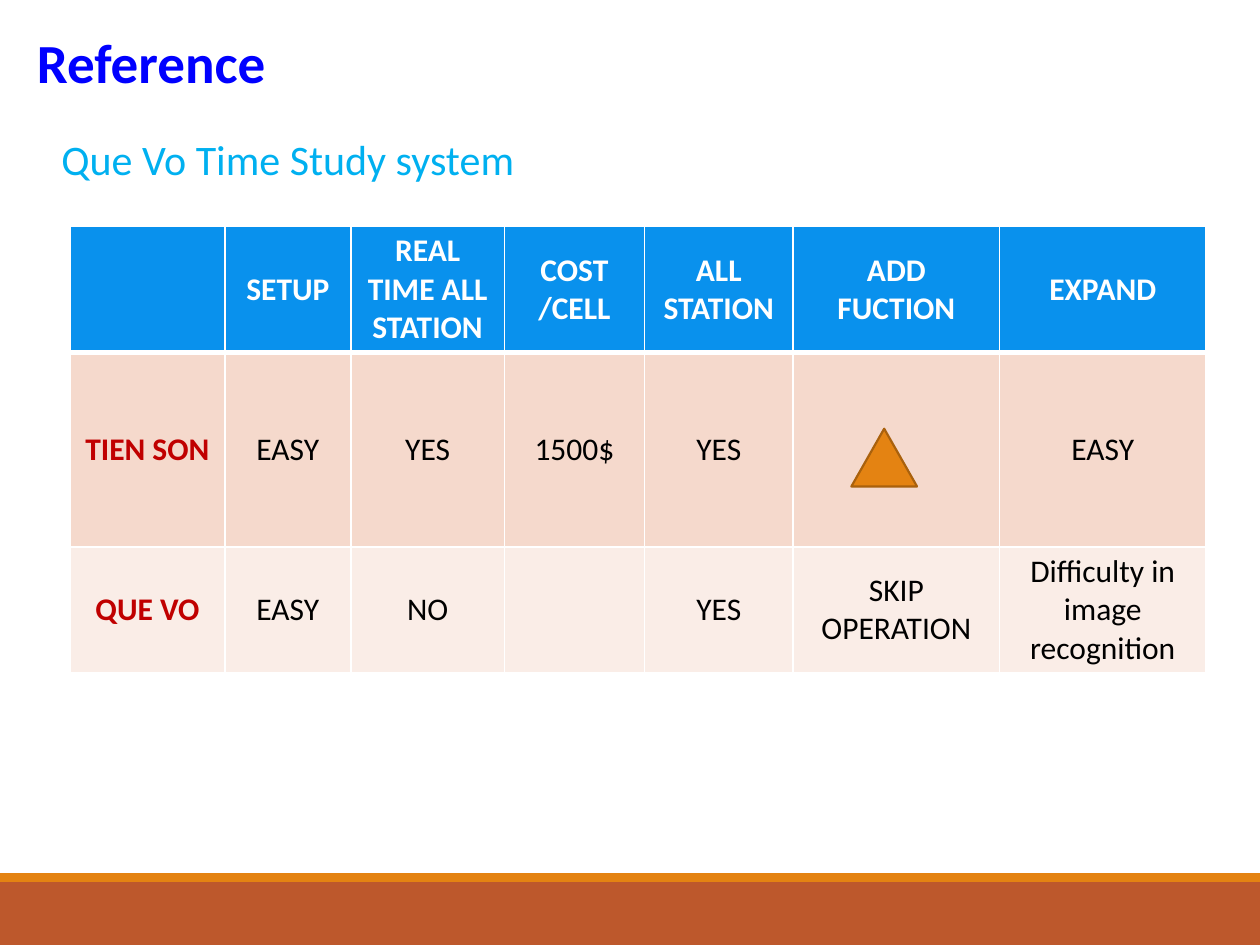
import pptx
import pptx.dml.color
import pptx.enum.shapes
import pptx.enum.text
import pptx.oxml
import pptx.oxml.ns
import pptx.util

Pt = pptx.util.Pt
SHAPES = pptx.enum.shapes.MSO_SHAPE
HEADERS = ["", "SETUP", "REAL TIME ALL STATION", "COST\n/CELL", "ALL STATION", "ADD FUCTION", "EXPAND"]
SYSTEMS = [
    ["TIEN SON", "EASY", "YES", "1500$", "YES", "", "EASY"],
    ["QUE VO", "EASY", "NO", "", "YES", "SKIP OPERATION", "Difficulty in image recognition"],
]
COLUMN_WIDTHS = [88.5, 72, 87.75, 80, 85, 118, 118]
ROW_HEIGHTS = [72, 111, 72]
ROW_FILLS = ["0991ED", "F5D9CC", "FAEDE7"]


def color(value):
    return pptx.dml.color.RGBColor.from_string(value)


class ComparisonSlide:
    """Draws the elements of the comparison slide in one shared style."""

    font_name = "Calibri"
    table_size = 18
    border_color = "FFFFFF"

    def __init__(self, presentation):
        self.slide = presentation.slides.add_slide(presentation.slide_layouts[6])

    def add_run(self, paragraph, text, size, text_color, bold=False):
        run = paragraph.add_run()
        run.text = text
        run.font.name = self.font_name
        run.font.size = Pt(size)
        run.font.bold = bold
        run.font.color.rgb = color(text_color)

    def add_text(self, left, top, width, height, text, size, text_color, bold=False):
        box = self.slide.shapes.add_textbox(Pt(left), Pt(top), Pt(width), Pt(height))
        box.text_frame.word_wrap = True
        box.text_frame.auto_size = pptx.enum.text.MSO_AUTO_SIZE.SHAPE_TO_FIT_TEXT
        self.add_run(box.text_frame.paragraphs[0], text, size, text_color, bold)

    def add_shape(self, kind, left, top, width, height, fill, line=None):
        shape = self.slide.shapes.add_shape(kind, Pt(left), Pt(top), Pt(width), Pt(height))
        shape.shadow.inherit = False
        shape.fill.solid()
        shape.fill.fore_color.rgb = color(fill)
        if line:
            shape.line.color.rgb = color(line)
            shape.line.width = Pt(1.25)
        else:
            shape.line.fill.background()

    def add_borders(self, cell, widths):
        properties = cell._tc.get_or_add_tcPr()
        for side, width in widths.items():
            properties.append(pptx.oxml.parse_xml(
                f'<a:ln{side} {pptx.oxml.ns.nsdecls("a")} w="{Pt(width)}"><a:solidFill>'
                f'<a:srgbClr val="{self.border_color}"/></a:solidFill></a:ln{side}>'))

    def fill_cell(self, cell, text, fill, text_color, bold, widths):
        self.add_borders(cell, widths)
        cell.fill.solid()
        cell.fill.fore_color.rgb = color(fill)
        cell.vertical_anchor = pptx.enum.text.MSO_ANCHOR.MIDDLE
        cell.margin_top = cell.margin_bottom = Pt(3)
        if not text:
            return
        frame = cell.text_frame
        for index, line in enumerate(text.split("\n")):
            paragraph = frame.add_paragraph() if index else frame.paragraphs[0]
            paragraph.alignment = pptx.enum.text.PP_ALIGN.CENTER
            self.add_run(paragraph, line, self.table_size, text_color, bold)

    def add_table(self, left, top, rows):
        table = self.slide.shapes.add_table(
            len(rows), len(COLUMN_WIDTHS), Pt(left), Pt(top),
            Pt(sum(COLUMN_WIDTHS)), Pt(sum(ROW_HEIGHTS))).table
        for column, width in zip(table.columns, COLUMN_WIDTHS):
            column.width = Pt(width)
        for row, height in zip(table.rows, ROW_HEIGHTS):
            row.height = Pt(height)
        for row_index, texts in enumerate(rows):
            widths = {"L": 1, "R": 1, "T": 3 if row_index == 1 else 1, "B": 3 if row_index == 0 else 1}
            for column_index, text in enumerate(texts):
                is_header, is_name = row_index == 0, column_index == 0
                text_color = "FFFFFF" if is_header else "C00000" if is_name else "000000"
                self.fill_cell(table.cell(row_index, column_index), text, ROW_FILLS[row_index],
                               text_color, is_header or is_name, widths)


def main():
    presentation = pptx.Presentation()
    presentation.slide_width = Pt(720)
    presentation.slide_height = Pt(540)
    page = ComparisonSlide(presentation)
    page.add_shape(SHAPES.RECTANGLE, 0, 504, 720, 36, "BD582C")
    page.add_shape(SHAPES.RECTANGLE, 0, 499, 720, 5, "E48312")
    page.add_text(14, 12.5, 288, 45.5, "Reference", 31.5, "0000FF", True)
    page.add_table(40, 129.5, [HEADERS, *SYSTEMS])
    page.add_shape(SHAPES.ISOSCELES_TRIANGLE, 486.5, 245, 37.5, 33, "E48312", "A9610D")
    page.add_text(28, 73, 341, 36, "Que Vo Time Study system", 24, "00B0F0")
    presentation.save("out.pptx")


if __name__ == "__main__":
    main()
